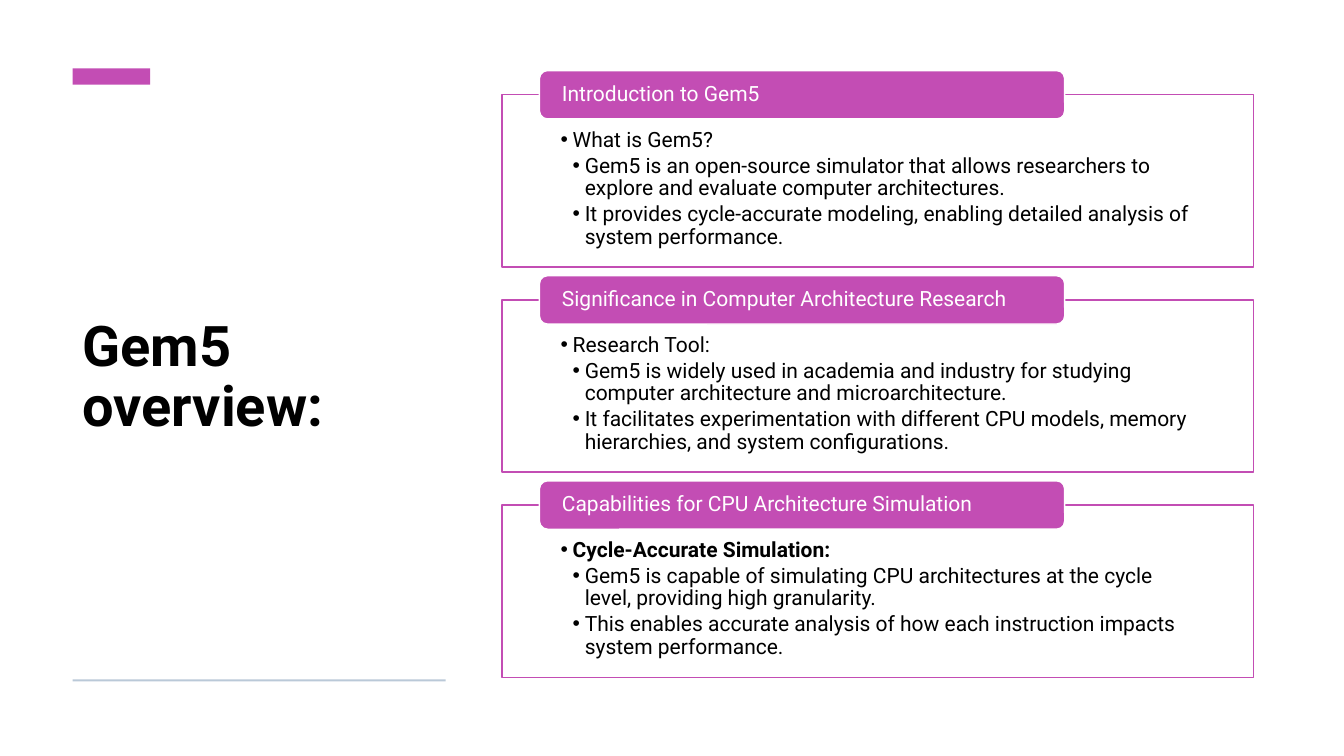
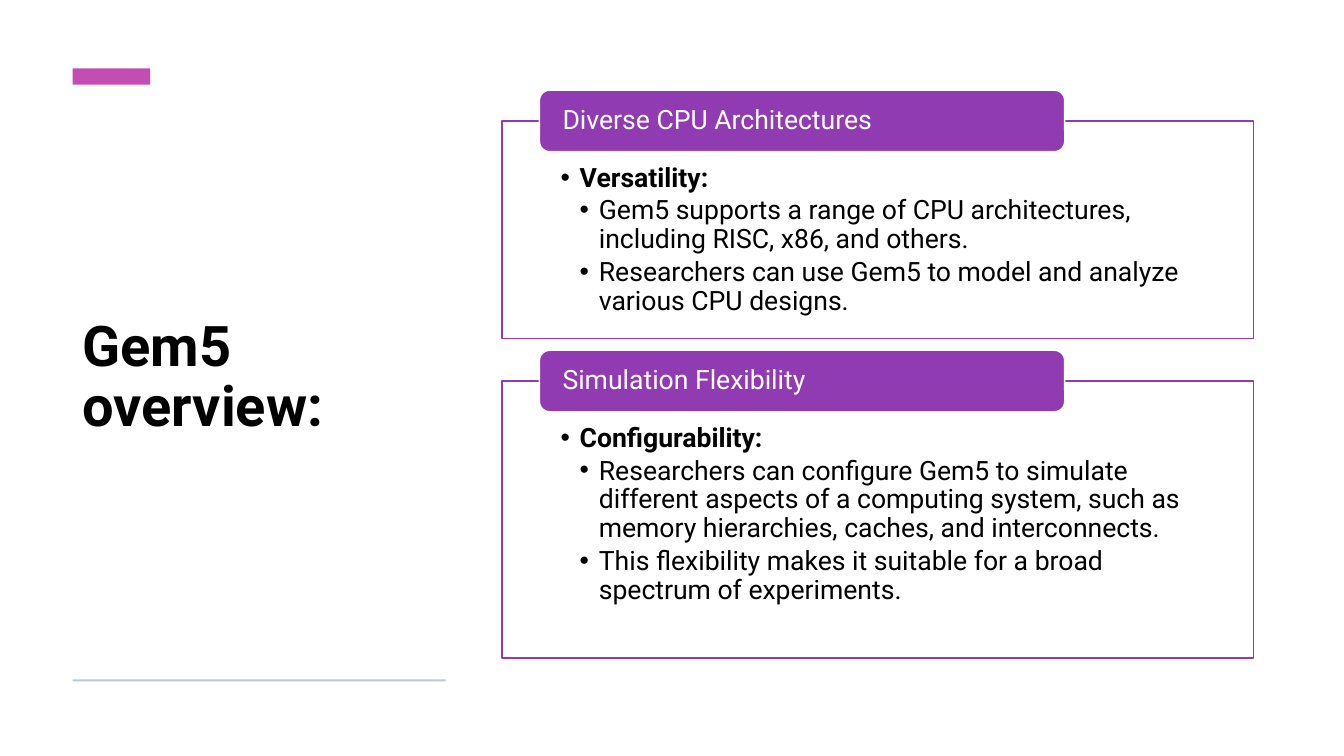
from dataclasses import dataclass

from lxml import etree
from pptx import Presentation
from pptx import util as u
from pptx.dml.color import RGBColor
from pptx.enum import shapes, text
from pptx.oxml import ns


# Look shared by all slides
@dataclass(frozen=True)
class Theme:
    font: str = "Roboto"
    ink: str = "000000"
    paper: str = "FFFFFF"
    pink: str = "C34DB4"
    violet: str = "903BB1"
    rule: str = "BAC9D8"
    title: int = 40
    small: int = 15
    large: int = 19
    lead: float = 0.9


@dataclass(frozen=True)
class Panel:
    head: str
    topic: str
    points: tuple[str, ...]
    height: float
    bold: bool = True


@dataclass(frozen=True)
class Page:
    panels: tuple[Panel, ...]
    color: str
    size: int
    top: float
    bottom: float
    tab: float  # height of a heading tab
    step: float  # bullet indent per level
    inset: tuple[float, float, float, float]


THEME = Theme()
TITLE = "Gem5 overview:"
LEFT, WIDE = 0.72, 3.7  # title column

PAGES = (
    Page((
        Panel("Introduction to Gem5", "What is Gem5?", (
            "Gem5 is an open-source simulator that allows researchers to explore and evaluate computer architectures.",
            "It provides cycle-accurate modeling, enabling detailed analysis of system performance.",
        ), 1.71, bold=False),
        Panel("Significance in Computer Architecture Research", "Research Tool:", (
            "Gem5 is widely used in academia and industry for studying computer architecture and microarchitecture.",
            "It facilitates experimentation with different CPU models, memory hierarchies, and system configurations.",
        ), 1.71, bold=False),
        Panel("Capabilities for CPU Architecture Simulation", "Cycle-Accurate Simulation:", (
            "Gem5 is capable of simulating CPU architectures at the cycle level, providing high granularity.",
            "This enables accurate analysis of how each instruction impacts system performance.",
        ), 1.71),
    ), THEME.pink, THEME.small, 0.94, 6.72, 0.48, 0.12, (0.58, 0.34, 0.58, 0.12)),
    Page((
        Panel("Diverse CPU Architectures", "Versatility:", (
            "Gem5 supports a range of CPU architectures, including RISC, x86, and others.",
            "Researchers can use Gem5 to model and analyze various CPU designs.",
        ), 2.16),
        Panel("Simulation Flexibility", "Configurability:", (
            "Researchers can configure Gem5 to simulate different aspects of a computing system, such as memory hierarchies, caches, and interconnects.",
            "This flexibility makes it suitable for a broad spectrum of experiments.",
        ), 2.75),
    ), THEME.violet, THEME.large, 1.2, 6.53, 0.61, 0.19, (0.58, 0.43, 0.58, 0.15)),
)


# Building blocks
def add_box(slide, kind, left: float, top: float, width: float, height: float,
            fill: str, line: str | None = None):
    box = slide.shapes.add_shape(kind, *map(u.Inches, (left, top, width, height)))
    box.shadow.inherit = False
    box.fill.solid()
    box.fill.fore_color.rgb = RGBColor.from_string(fill)
    if line:
        box.line.color.rgb = RGBColor.from_string(line)
        box.line.width = u.Pt(1)
    else:
        box.line.fill.background()
    return box


def set_frame(frame, inset: tuple[float, float, float, float], anchor) -> None:
    frame.word_wrap = True
    frame.vertical_anchor = anchor
    (frame.margin_left, frame.margin_top,
     frame.margin_right, frame.margin_bottom) = map(u.Inches, inset)


def set_text(para, words: str, size: int, color: str, bold: bool = False) -> None:
    para.text = words
    para.alignment = text.PP_ALIGN.LEFT
    para.line_spacing = THEME.lead
    font = para.font
    font.name, font.size, font.bold = THEME.font, u.Pt(size), bold
    font.color.rgb = RGBColor.from_string(color)


def set_bullet(para, level: int, step: float) -> None:
    para.level = level
    props = para._p.get_or_add_pPr()
    props.set("marL", str(u.Inches(step * level)))
    props.set("indent", str(u.Inches(-step)))
    etree.SubElement(props, ns.qn("a:buFont")).set("typeface", "Arial")
    etree.SubElement(props, ns.qn("a:buChar")).set("char", "•")


def set_alpha(box, percent: int) -> None:
    color = box.fill._xPr.find(ns.qn("a:solidFill"))[0]
    etree.SubElement(color, ns.qn("a:alpha")).set("val", str(percent * 1000))


# Slide parts
def add_title(slide) -> None:
    rect = shapes.MSO_SHAPE.RECTANGLE
    add_box(slide, rect, LEFT, 0.68, 0.77, 0.16, THEME.pink)
    add_box(slide, rect, LEFT, 6.74, WIDE, 0.02, THEME.rule)
    box = slide.shapes.add_textbox(*map(u.Inches, (LEFT, 1.05, WIDE, 5.41)))
    set_frame(box.text_frame, (0.1, 0.05, 0.1, 0.05), text.MSO_ANCHOR.MIDDLE)
    set_text(box.text_frame.paragraphs[0], TITLE, THEME.title, THEME.ink, True)


def add_panel(slide, panel: Panel, page: Page, top: float) -> None:
    # Outlined body with bullets
    body = add_box(slide, shapes.MSO_SHAPE.RECTANGLE, 4.98, top, 7.45,
                   panel.height, THEME.paper, page.color)
    set_alpha(body, 90)
    frame = body.text_frame
    set_frame(frame, page.inset, text.MSO_ANCHOR.TOP)
    for i, words in enumerate((panel.topic, *panel.points)):
        para = frame.add_paragraph() if i else frame.paragraphs[0]
        set_bullet(para, 2 if i else 1, page.step)
        set_text(para, words, page.size, THEME.ink, panel.bold and i == 0)
        para.space_after = u.Pt(0.15 * page.size)

    # Heading tab centred on the top edge
    tab = add_box(slide, shapes.MSO_SHAPE.ROUNDED_RECTANGLE, 5.35,
                  top - page.tab / 2, 5.21, page.tab, page.color, THEME.paper)
    set_frame(tab.text_frame, (0.2, 0, 0.2, 0), text.MSO_ANCHOR.MIDDLE)
    set_text(tab.text_frame.paragraphs[0], panel.head, page.size, THEME.paper)


def add_page(deck, page: Page) -> None:
    slide = deck.slides.add_slide(deck.slide_layouts[6])
    add_title(slide)
    used = sum(panel.height for panel in page.panels)
    gap = (page.bottom - page.top - used) / (len(page.panels) - 1)
    top = page.top
    for panel in page.panels:
        add_panel(slide, panel, page, top)
        top += panel.height + gap


def main() -> None:
    deck = Presentation()
    deck.slide_width, deck.slide_height = u.Inches(13.33), u.Inches(7.5)
    for page in PAGES:
        add_page(deck, page)
    deck.save("out.pptx")


if __name__ == "__main__":
    main()
